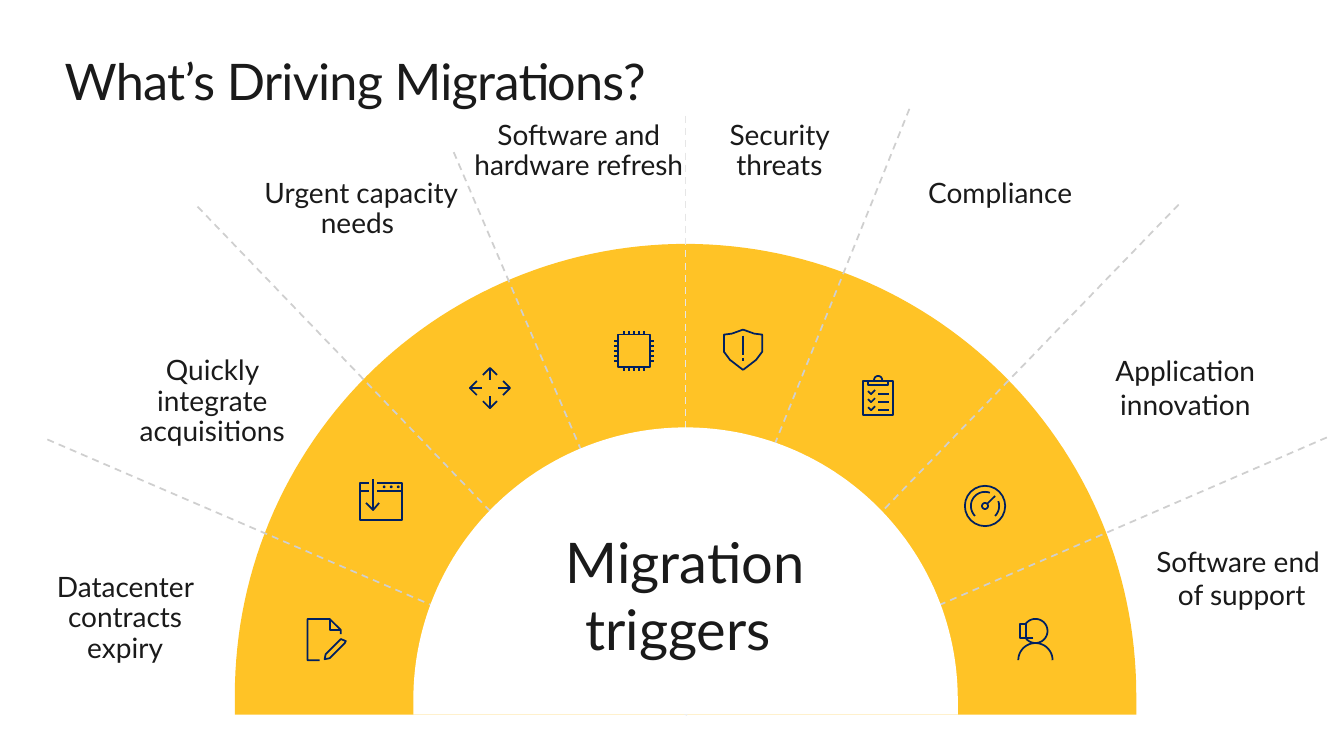
"""Build the slide on what drives migrations: a half ring of eight drivers."""
import math

from lxml import etree
from pptx import Presentation
from pptx import util as u
from pptx.dml.color import RGBColor
from pptx.enum import dml, shapes, text
from pptx.oxml import ns

PX = 9144
FONT = "Lato"
INK = RGBColor(0x1A, 0x1A, 0x1A)
NAVY = RGBColor(0x00, 0x20, 0x60)
AMBER = RGBColor(0xFF, 0xB9, 0x00)
WHITE = RGBColor(0xFF, 0xFF, 0xFF)
GREY = RGBColor(0xCF, 0xCF, 0xCF)
PALE_GREY = RGBColor(0xE6, 0xE6, 0xE6)

TITLE = ("What’s Driving Migrations?", (64, 50, 1205, 61))
CENTRE = ("Migration triggers ", (533, 518, 293, 62))
AXIS, BASE = 680, 709

DRIVERS = [
    ("Quickly integrate acquisitions", (102, 349, 207, 101), "window", (378, 497)),
    ("Urgent capacity needs ", (241, 173, 224, 71), "arrows", (486, 385)),
    ("Software and hardware refresh", (450, 115, 238, 71), "chip", (629, 348)),
    ("Security threats", (665, 115, 206, 71), "shield", (737, 347)),
    ("Compliance ", (862, 173, 257, 76), "clipboard", (871, 395)),
    ("Application innovation", (1031, 346, 279, 77), "gauge", (977, 502)),
    ("Software end \vof support", (1108, 535, 237, 77), "headset", (1027, 626)),
    ("Datacenter contracts expiry", (7, 564, 224, 71), "document", (324, 634)),
]
LOOSE = ("gauge", "headset")

HUB, HIGH_HUB = (AXIS, BASE), (AXIS, 661)
SPOKES = [
    ((47, 436), HUB, GREY),
    ((196, 205), HUB, GREY),
    ((1316, 434), HUB, GREY),
    ((902, 108), HIGH_HUB, GREY),
    ((AXIS, 115), HUB, PALE_GREY),
    ((450, 151), (668, 661), GREY),
    ((1169, 203), HUB, GREY),
]


def arc(radius, start=0, end=360, x=0, y=0, steps=24):
    """Return points along an arc, in degrees clockwise from the right."""
    angles = [math.radians(start + (end - start) * i / steps) for i in range(steps + 1)]
    return [(x + radius * math.cos(a), y + radius * math.sin(a)) for a in angles]


def quarter_turns(strokes):
    """Repeat strokes on all four sides of the icon centre."""
    turned = []
    for _ in range(4):
        turned += strokes
        strokes = [[(-y, x) for x, y in stroke] for stroke in strokes]
    return turned


def box(half_width, half_height):
    """Return a closed rectangle around the icon centre."""
    return [(x * half_width, y * half_height)
            for x, y in ((-1, -1), (1, -1), (1, 1), (-1, 1), (-1, -1))]


def icon_strokes():
    """Return the strokes of each icon around its own centre."""
    pins = [[(16, y), (20, y)] for y in range(-10, 11, 5)]
    shield = [(0, -20), (11, -16), (19, -15), (19, 2), (13, 10), (0, 20)]
    checks = [[(-10, y - 3), (-7, y), (-3, y - 4)] for y in (-4, 4, 12)]
    rows = [[(0, y), (11, y)] for y in (-4, 4, 12)]
    return {
        "window": [[(-4, -18), (21, -18), (21, 19), (-21, 19), (-21, -18), (-12, -18)],
                   [(-4, -10), (21, -10)], [(-21, -10), (-12, -10)],
                   [(-8, -22), (-8, 9)], [(-15, 2), (-8, 9), (-2, 2)]]
        + [arc(0.5, x=x, y=-14) for x in (3, 10, 17)],
        "arrows": quarter_turns([[(8, 0), (20, 0)], [(13, -7), (20, 0), (13, 7)]]),
        "chip": [box(16, 16)] + quarter_turns(pins),
        "shield": [shield, [(-x, y) for x, y in shield],
                   [(0, -14), (0, 5)], [(0, 8), (0, 11)]],
        "clipboard": [box(15, 17), [(-10, -17), (-10, -13), (10, -13), (10, -17)],
                      arc(4, 180, 360, y=-18)] + checks + rows,
        "gauge": [arc(3), arc(20), arc(14, 45, -20), arc(14, -70, -225),
                  [(10, -10), (2, -2)]],
        "headset": [arc(17, 180, 360, y=29), arc(12, 143, -145),
                    [(-2, 7), (-15, 7), (-15, -7), (-9, -7), (-9, 7)]],
        "document": [[(14, -5), (14, -9), (3, -20), (-19, -20), (-19, 21), (-7, 21)],
                     [(3, -20), (3, -9), (14, -9)],
                     [(-2, 20), (-1, 15), (14, 0), (19, 2), (18, 4), (3, 19), (-2, 20)]],
    }


def add_outline(slide, strokes, origin, closed=False, fill=None, line=None):
    """Draw strokes around an origin as one freeform."""
    left, top = origin
    strokes = [[(round((left + x) * PX), round((top + y) * PX)) for x, y in stroke]
               for stroke in strokes]
    builder = slide.shapes.build_freeform(*strokes[0][0], scale=1.0)
    for stroke in strokes:
        builder.move_to(*stroke[0])
        builder.add_line_segments(stroke[1:], close=closed)
    shape = builder.convert_to_shape()
    shape.shadow.inherit = False
    if fill is None:
        shape.fill.background()
    else:
        shape.fill.solid()
        shape.fill.fore_color.rgb = fill
    if line is None:
        shape.line.fill.background()
    else:
        shape.line.color.rgb = line
        shape.line.width = u.Pt(1.25)
    return shape


def add_dome(slide, fill, radius, centre_y):
    """Draw a filled half circle that stands on the base line."""
    foot = BASE - centre_y
    points = arc(radius, 180, 360, steps=120) + [(radius, foot), (-radius, foot)]
    return add_outline(slide, [points], (AXIS, centre_y), closed=True, fill=fill)


def add_spoke(slide, start, end, color):
    """Draw one dashed divider."""
    spoke = slide.shapes.add_connector(
        shapes.MSO_CONNECTOR.STRAIGHT, *(value * PX for value in start + end))
    spoke.line.color.rgb = color
    spoke.line.width = u.Pt(1.25)
    spoke.line.dash_style = dml.MSO_LINE.DASH
    etree.SubElement(spoke._element.spPr, ns.qn("a:effectLst"))


def add_text(slide, words, place, size, align=text.PP_ALIGN.CENTER, insets=(10, 5, 10, 5),
             line_spacing=1.0, space_after=0, tracking=0):
    """Write one paragraph in a wrapping text box."""
    frame = slide.shapes.add_textbox(*(value * PX for value in place)).text_frame
    frame.word_wrap = True
    frame.vertical_anchor = text.MSO_ANCHOR.TOP
    frame.margin_left, frame.margin_top, frame.margin_right, frame.margin_bottom = (
        value * PX for value in insets)
    frame.text = words
    paragraph = frame.paragraphs[0]
    paragraph.alignment = align
    paragraph.line_spacing = line_spacing
    paragraph.space_after = u.Pt(space_after)
    for run in paragraph.runs:
        run.font.name = FONT
        run.font.size = u.Pt(size)
        run.font.color.rgb = INK
        run.font._element.set("spc", str(tracking))


def main():
    """Compose and save the slide."""
    presentation = Presentation()
    presentation.slide_width, presentation.slide_height = 1333 * PX, 750 * PX
    slide = presentation.slides.add_slide(presentation.slide_layouts[6])
    add_text(slide, *TITLE, 36, align=text.PP_ALIGN.LEFT, insets=(0, 0, 0, 0), tracking=-50)
    ring = add_dome(slide, AMBER, 447, 689)
    color = ring._element.spPr.find(ns.qn("a:solidFill"))[0]
    etree.SubElement(color, ns.qn("a:alpha"), val="85000")
    for spoke in SPOKES:
        add_spoke(slide, *spoke)
    add_dome(slide, WHITE, 270, 694)
    add_text(slide, *CENTRE, 40)
    icons = icon_strokes()
    for words, place, icon, origin in DRIVERS:
        add_text(slide, words, place, 20, insets=(20, 5, 10, 5),
                 line_spacing=1.0 if icon in LOOSE else 0.9, space_after=8.2)
        add_outline(slide, icons[icon], origin, line=NAVY)
    presentation.save("out.pptx")


if __name__ == "__main__":
    main()
